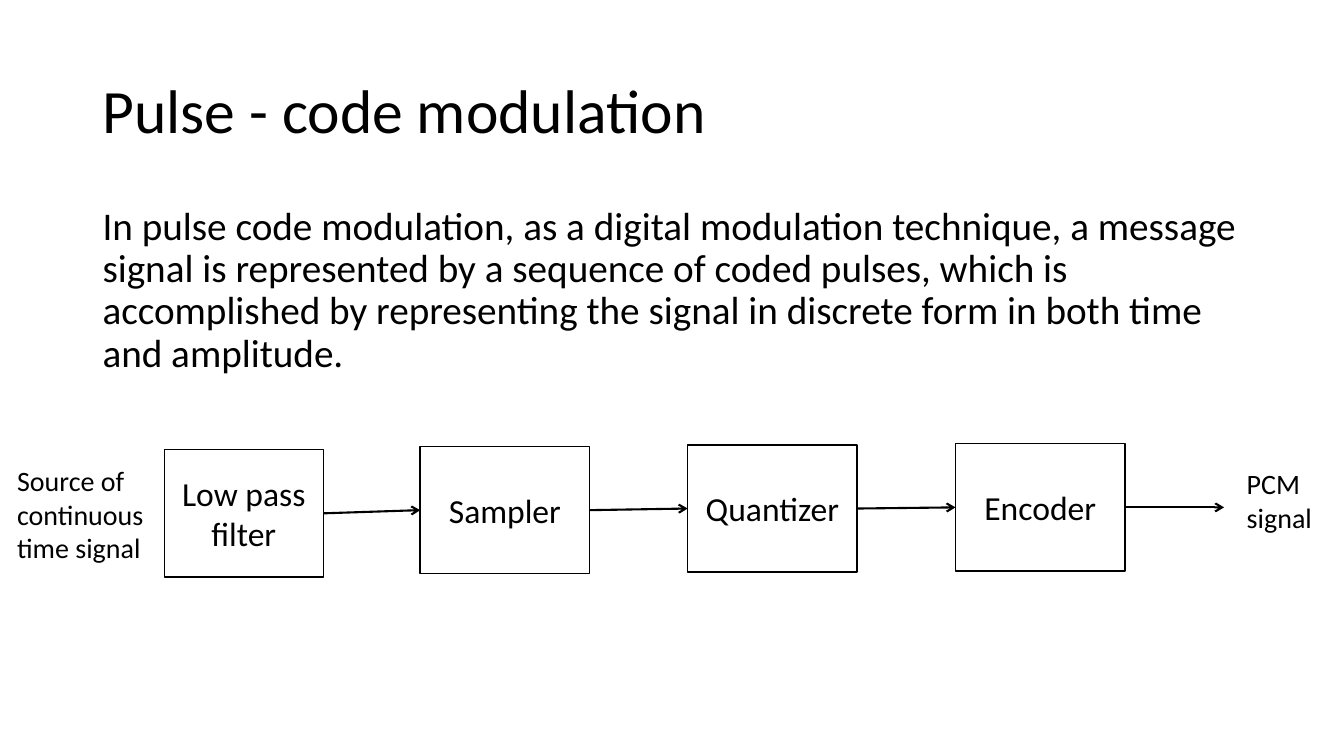
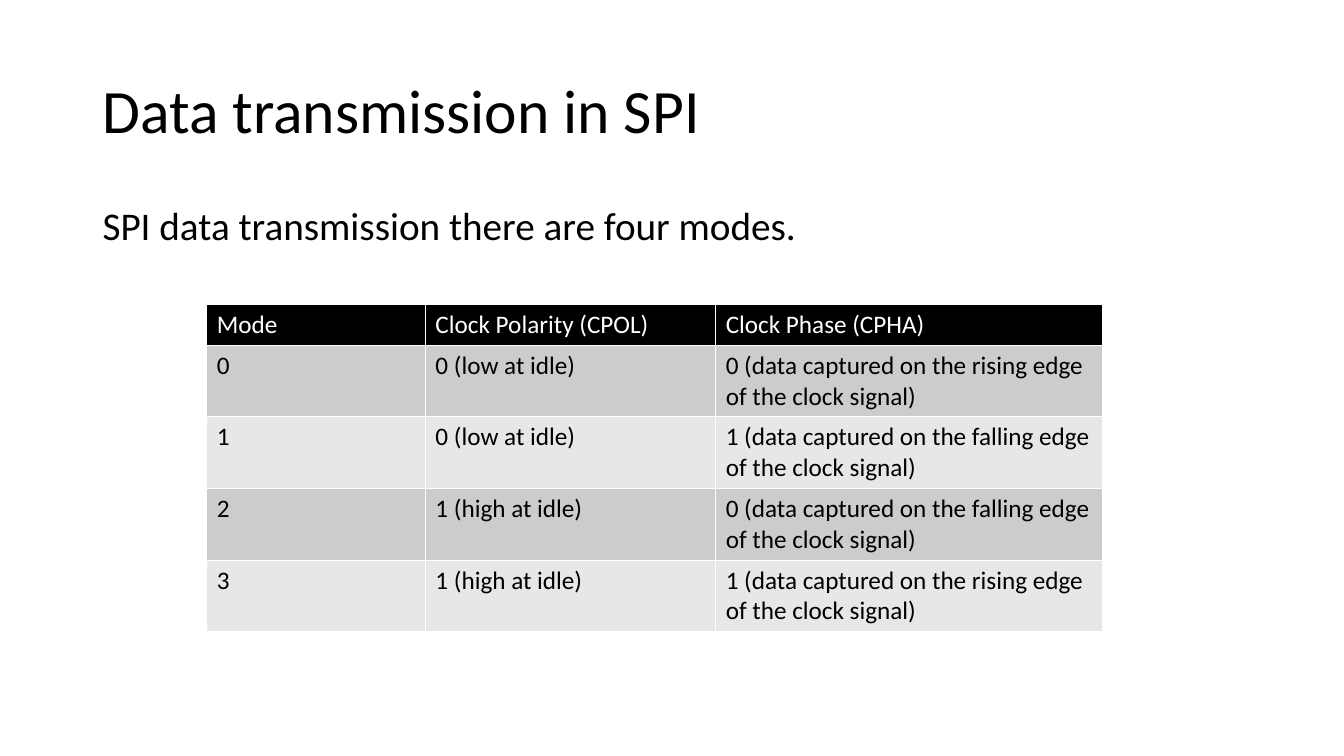
from lxml import etree
from pptx import Presentation
from pptx.dml.color import RGBColor
from pptx.enum import shapes, text
from pptx.oxml.ns import qn
from pptx.util import Cm, Pt

BLACK = RGBColor(0x00, 0x00, 0x00)
WHITE = RGBColor(0xFF, 0xFF, 0xFF)
DARK_BAND = RGBColor(0xCC, 0xCC, 0xCC)
LIGHT_BAND = RGBColor(0xE7, 0xE7, 0xE7)
FONT = "Calibri"

# Boxes are left, top, width, height in cm
TITLE_BOX = (2.33, 1.01, 29.21, 3.68)
BODY_BOX = (2.33, 5.07, 29.21, 12.09)
DIAGRAM_BOX = (0.18, 11.18, 33.4, 3.36)
TABLE_BOX = (5.21, 7.67, 22.58, 5.15)

# Name, left and top inside the diagram, width
STAGES = [
    ("Low pass filter", 3.96, 0.15, 4.01),
    ("Sampler", 10.41, 0.07, 4.27),
    ("Quantizer", 17.15, 0.03, 4.27),
    ("Encoder", 23.9, 0, 4.27),
]
STAGE_HEIGHT = 3.21
OUTPUT_ARROW = 2.5

MODE_HEADER = ("Mode", "Clock Polarity (CPOL)", "Clock Phase (CPHA)")
POLARITIES = ("0 (low at idle)", "1 (high at idle)")
# Mode number, clock polarity, clock phase, capturing edge
MODES = [(0, 0, 0, "rising"), (1, 0, 1, "falling"),
         (2, 1, 0, "falling"), (3, 1, 1, "rising")]
COLUMN_SHARES = (2.17, 2.88, 3.84)


def cm_box(box):
    return [Cm(length) for length in box]


def write(frame, words, size, color=BLACK, align=text.PP_ALIGN.LEFT):
    paragraph = frame.paragraphs[0]
    paragraph.alignment = align
    run = paragraph.add_run()
    run.text = words
    run.font.name = FONT
    run.font.size = Pt(size)
    run.font.bold = False
    run.font.color.rgb = color
    return paragraph


def fill_placeholder(placeholder, box, words, size, anchor):
    placeholder.left, placeholder.top, placeholder.width, placeholder.height = cm_box(box)
    frame = placeholder.text_frame
    frame.auto_size = text.MSO_AUTO_SIZE.NONE
    frame.vertical_anchor = anchor
    paragraph = write(frame, words, size)
    paragraph.line_spacing = 0.9
    paragraph.space_before = Pt(0)
    return paragraph


def add_content_slide(deck, title, body):
    slide = deck.slides.add_slide(deck.slide_layouts[1])
    fill_placeholder(slide.shapes.title, TITLE_BOX, title, 44, text.MSO_ANCHOR.MIDDLE)
    paragraph = fill_placeholder(slide.placeholders[1], BODY_BOX, body, 28,
                                 text.MSO_ANCHOR.TOP)
    properties = paragraph._p.get_or_add_pPr()
    properties.set("marL", "0")
    properties.set("indent", "0")
    etree.SubElement(properties, qn("a:buNone"))
    return slide


def add_label(slide, box, words):
    label = slide.shapes.add_textbox(*cm_box(box))
    label.text_frame.word_wrap = True
    write(label.text_frame, words, 20)


def add_stage(slide, box, name):
    stage = slide.shapes.add_shape(shapes.MSO_SHAPE.RECTANGLE, *cm_box(box))
    stage.shadow.inherit = False
    stage.fill.solid()
    stage.fill.fore_color.rgb = WHITE
    stage.line.color.rgb = BLACK
    stage.line.width = Pt(1)
    stage.text_frame.word_wrap = True
    stage.text_frame.vertical_anchor = text.MSO_ANCHOR.MIDDLE
    write(stage.text_frame, name, 24, align=text.PP_ALIGN.CENTER)
    return stage


def add_arrow(slide, source, target=None):
    """Lead from a stage to the next one, or out of the chain."""
    start = source.left + source.width
    middle = source.top + source.height // 2
    arrow = slide.shapes.add_connector(shapes.MSO_CONNECTOR.STRAIGHT, start, middle,
                                       start + Cm(OUTPUT_ARROW), middle)
    arrow.begin_connect(source, 3)
    if target is not None:
        arrow.end_connect(target, 1)
    arrow.line.color.rgb = BLACK
    arrow.line.width = Pt(1.5)
    etree.SubElement(arrow.line._get_or_add_ln(), qn("a:tailEnd"), type="arrow")
    etree.SubElement(arrow._element.spPr, qn("a:effectLst"))


def add_pcm_diagram(slide, box):
    left, top, width, _ = box
    add_label(slide, (left, top + 0.38, 4.06, 2.79), "Source of continuous time signal")
    stages = [add_stage(slide, (left + x, top + y, stage_width, STAGE_HEIGHT), name)
              for name, x, y, stage_width in STAGES]
    for source, target in zip(stages, stages[1:] + [None]):
        add_arrow(slide, source, target)
    output_width = 2.41
    add_label(slide, (left + width - output_width, top + 0.45, output_width, 1.96),
              "PCM signal")


def add_mode_table(slide, box):
    rows = [MODE_HEADER] + [
        (str(mode), POLARITIES[polarity],
         f"{phase} (data captured on the {edge} edge of the clock signal)")
        for mode, polarity, phase, edge in MODES]
    table = slide.shapes.add_table(len(rows), len(MODE_HEADER), *cm_box(box)).table
    for column, share in zip(table.columns, COLUMN_SHARES):
        column.width = Cm(box[2] * share / sum(COLUMN_SHARES))
    for row_index, row in enumerate(rows):
        if row_index == 0:
            band, ink = BLACK, WHITE
        else:
            band, ink = (DARK_BAND if row_index % 2 else LIGHT_BAND), BLACK
        for column_index, words in enumerate(row):
            cell = table.cell(row_index, column_index)
            cell.fill.solid()
            cell.fill.fore_color.rgb = band
            write(cell.text_frame, words, 18, ink)


def main():
    deck = Presentation()
    deck.slide_width, deck.slide_height = Cm(33.87), Cm(19.05)

    modulation = add_content_slide(
        deck, "Pulse - code modulation",
        "In pulse code modulation, as a digital modulation technique, a message signal "
        "is represented by a sequence of coded pulses, which is accomplished by "
        "representing the signal in discrete form in both time and amplitude.")
    add_pcm_diagram(modulation, DIAGRAM_BOX)

    transmission = add_content_slide(deck, "Data transmission in SPI",
                                     "SPI data transmission there are four modes.")
    add_mode_table(transmission, TABLE_BOX)

    deck.save("out.pptx")


if __name__ == "__main__":
    main()
